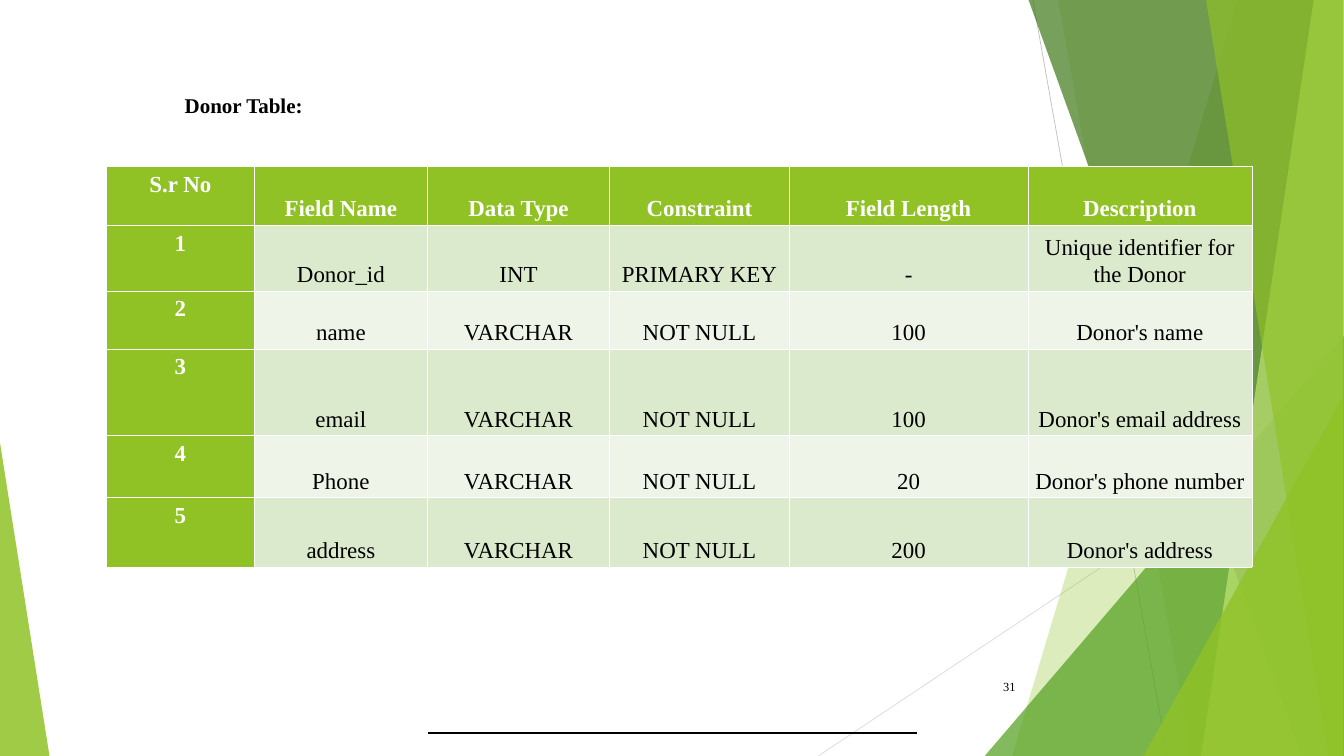
from lxml import etree
from pptx import Presentation
from pptx import util as u
from pptx.dml.color import RGBColor
from pptx.enum import shapes, text
from pptx.oxml.ns import qn

THEME = {
    "font": "Times New Roman",
    "white": RGBColor.from_string("FFFFFF"),
    "black": RGBColor.from_string("000000"),
    "green": RGBColor.from_string("90C226"),
    "leaf": RGBColor.from_string("54A021"),
    "forest": RGBColor.from_string("3F7819"),
    "lime": RGBColor.from_string("C0E474"),
    "grey": RGBColor.from_string("BFBFBF"),
    "pale_grey": RGBColor.from_string("D9D9D9"),
    "odd_row": RGBColor.from_string("DBE9CD"),
    "even_row": RGBColor.from_string("EEF4E8"),
    "title_size": 22,
    "number_size": 13,
    "table_size": 24,
}


def write(frame, words, size, color="black", bold=False, align="LEFT", spacing=1.0):
    paragraph = frame.paragraphs[0]
    paragraph.alignment = getattr(text.PP_ALIGN, align)
    paragraph.line_spacing = spacing
    run = paragraph.add_run()
    run.text = words
    run.font.name = THEME["font"]
    run.font.size = u.Pt(THEME[size])
    run.font.bold = bold
    run.font.color.rgb = THEME[color]


def draw_line(slide, start, end, color, width):
    points = [u.Cm(value) for value in (*start, *end)]
    line = slide.shapes.add_connector(shapes.MSO_CONNECTOR.STRAIGHT, *points)
    line.line.color.rgb = THEME[color]
    line.line.width = u.Pt(width)
    etree.SubElement(line._element.spPr, qn("a:effectLst"))


WIDTH, HEIGHT, BAND_RIGHT = 49.68, 27.94, 49.66
presentation = Presentation()
presentation.slide_width = u.Cm(WIDTH)
presentation.slide_height = u.Cm(HEIGHT)
slide = presentation.slides.add_slide(presentation.slide_layouts[6])

draw_line(slide, (38.18, 0), (43.15, HEIGHT), "grey", 0.75)
draw_line(slide, (BAND_RIGHT, 14.99), (30.25, HEIGHT), "pale_grey", 0.75)

decorations = [
    ("band", (45.75, 37.41), "green", 30),
    ("band", (39.12, 44.04), "green", 20),
    ("triangle", (36.4, 12.42, 13.28, 1), "leaf", 72),
    ("band", (38.02, 48.11), "forest", 70),
    ("band", (48.56, 44.4), "lime", 70),
    ("band", (44.58, 49.1), "green", 65),
    ("triangle", (42.27, 14.63, 7.39, 1), "green", 80),
    ("triangle", (0, 16.36, 1.83, 0), "green", 85),
]
for kind, geometry, color, opacity in decorations:
    if kind == "band":
        top_left, bottom_left = geometry
        builder = slide.shapes.build_freeform(u.Cm(top_left), 0)
        corners = [(BAND_RIGHT, 0), (BAND_RIGHT, HEIGHT), (bottom_left, HEIGHT)]
        builder.add_line_segments([(u.Cm(x), u.Cm(y)) for x, y in corners], close=True)
        shape = builder.convert_to_shape()
    else:
        left, top, width, apex = geometry
        shape = slide.shapes.add_shape(
            shapes.MSO_SHAPE.ISOSCELES_TRIANGLE,
            u.Cm(left), u.Cm(top), u.Cm(width), u.Cm(HEIGHT - top))
        shape.adjustments[0] = apex
    shape.shadow.inherit = False
    shape.line.fill.background()
    shape.fill.solid()
    shape.fill.fore_color.rgb = THEME[color]
    tint = shape._element.spPr.find(".//" + qn("a:srgbClr"))
    etree.SubElement(tint, qn("a:alpha"), val=str(opacity * 1000))

draw_line(slide, (15.82, 27.08), (33.91, 27.08), "black", 1.9)

title = slide.shapes.add_textbox(u.Cm(6.63), u.Cm(3.38), u.Cm(8.23), u.Cm(0.97))
frame = title.text_frame
frame.word_wrap = True
frame.margin_left = u.Cm(0.2)
frame.margin_right = frame.margin_top = frame.margin_bottom = 0
write(frame, "Donor Table:", "title_size", bold=True, spacing=1.04)

number = slide.shapes.add_textbox(u.Cm(35), u.Cm(24.61), u.Cm(2.79), u.Cm(1.5))
frame = number.text_frame
frame.word_wrap = True
frame.vertical_anchor = text.MSO_ANCHOR.MIDDLE
write(frame, "31", "number_size", align="RIGHT")

rows = [
    ("S.r No", "Field Name", "Data Type", "Constraint", "Field Length", "Description"),
    ("1", "Donor_id", "INT", "PRIMARY KEY", "-", "Unique identifier for the Donor"),
    ("2", "name", "VARCHAR", "NOT NULL", "100", "Donor's name"),
    ("3", "email", "VARCHAR", "NOT NULL", "100", "Donor's email address"),
    ("4", "Phone", "VARCHAR", "NOT NULL", "20", "Donor's phone number"),
    ("5", "address", "VARCHAR", "NOT NULL", "200", "Donor's address"),
]
column_widths = [5.46, 6.4, 6.73, 6.65, 8.81, 8.28]
row_heights = [2.18, 2.36, 2.13, 3.2, 2.29, 2.57]
table = slide.shapes.add_table(
    len(rows), len(column_widths), u.Cm(3.94), u.Cm(6.15),
    u.Cm(sum(column_widths)), u.Cm(sum(row_heights))).table
for column, width in zip(table.columns, column_widths):
    column.width = u.Cm(width)
for row, height in zip(table.rows, row_heights):
    row.height = u.Cm(height)

for row_index, row in enumerate(rows):
    for column_index, words in enumerate(row):
        cell = table.cell(row_index, column_index)
        heading = row_index == 0 or column_index == 0
        cell.margin_left = cell.margin_right = u.Cm(0.17)
        cell.margin_top = cell.margin_bottom = u.Cm(0.13)
        cell.vertical_anchor = text.MSO_ANCHOR.BOTTOM if column_index else text.MSO_ANCHOR.TOP
        write(cell.text_frame, words, "table_size", "white" if heading else "black",
              bold=heading, align="CENTER", spacing=1.07)
        properties = cell._tc.get_or_add_tcPr()
        for side in ("lnL", "lnR", "lnT", "lnB"):
            under_header = (row_index, side) in ((0, "lnB"), (1, "lnT"))
            border = etree.SubElement(properties, qn("a:" + side),
                                      w=str(u.Pt(1.47 if under_header else 0.45)))
            fill = etree.SubElement(border, qn("a:solidFill"))
            etree.SubElement(fill, qn("a:srgbClr"), val=str(THEME["white"]))
        cell.fill.solid()
        band = "odd_row" if row_index % 2 else "even_row"
        cell.fill.fore_color.rgb = THEME["green" if heading else band]

presentation.save("out.pptx")
